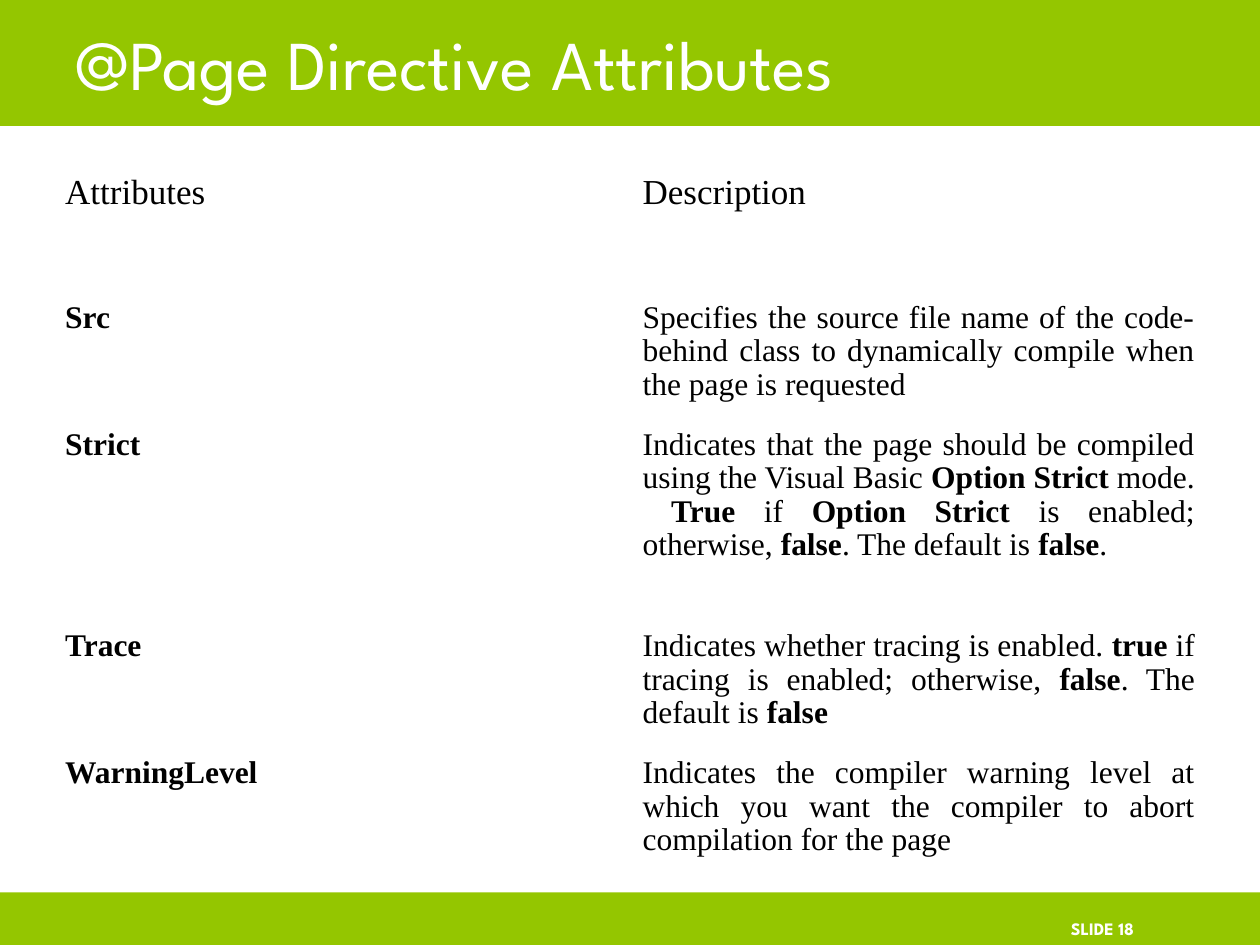
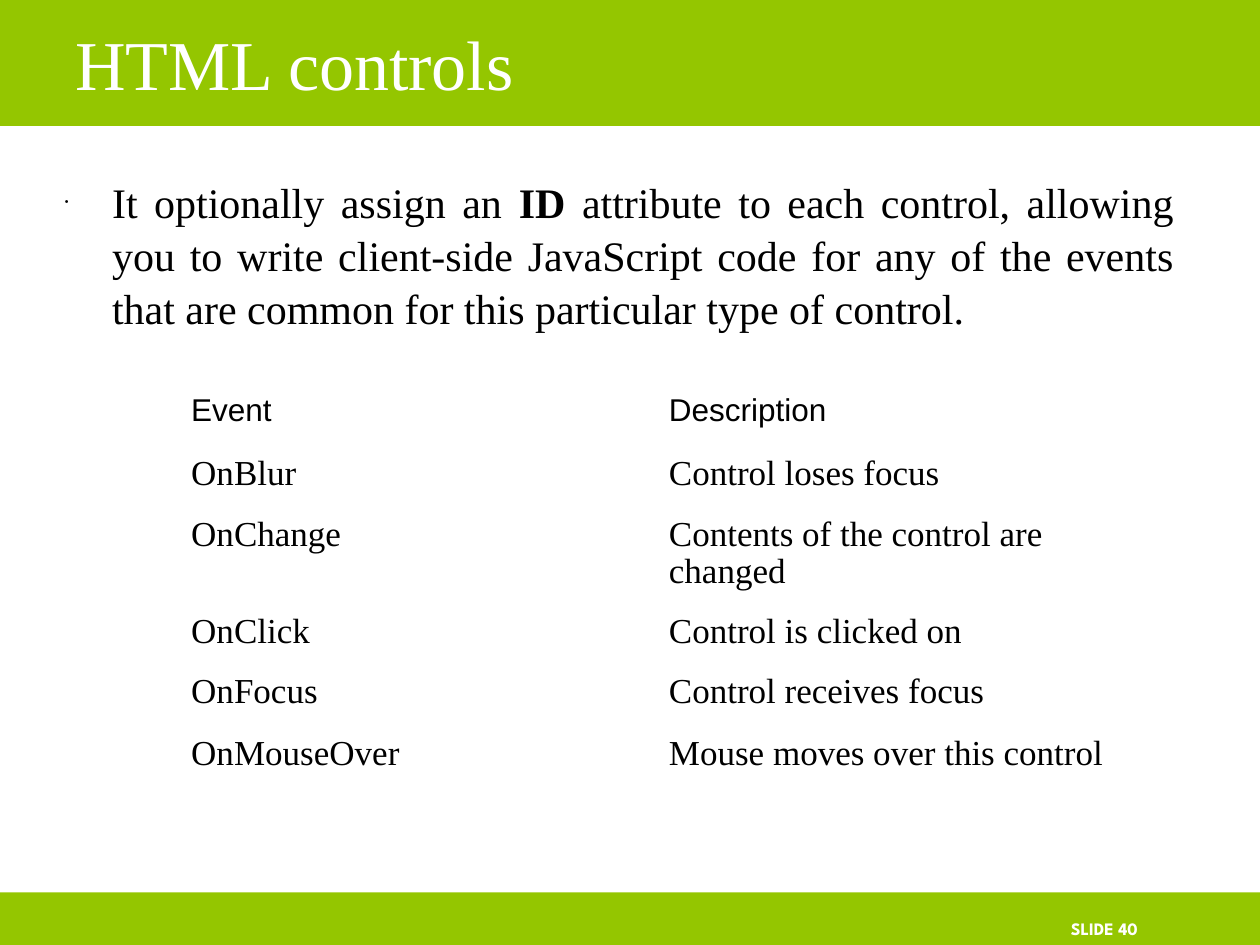
from lxml import etree
from pptx import Presentation
from pptx import util as u
from pptx.dml import color
from pptx.enum import shapes, text
from pptx.oxml import ns

SERIF, SANS, DISPLAY = "Times New Roman", "Arial", "League Spartan"
GREEN, WHITE, BLACK = "94C600", "FFFFFF", "000000"
WIDTH, HEIGHT = 25.4, 19.05
TITLE_HEIGHT, FOOTER_HEIGHT = 2.54, 1.06
FOOTER_TOP = HEIGHT - FOOTER_HEIGHT

ATTRIBUTES = [
    ("Attributes", "Description"),
    ("**Src**", "Specifies the source file name of the code-behind class to "
     "dynamically compile when the page is requested"),
    ("**Strict**", "Indicates that the page should be compiled using the Visual "
     "Basic **Option Strict** mode.  **True** if **Option Strict** is enabled; "
     "otherwise, **false**. The default is **false**."),
    ("**Trace**", "Indicates whether tracing is enabled. **true** if tracing is "
     "enabled; otherwise, **false**. The default is **false**"),
    ("**WarningLevel**", "Indicates the compiler warning level at which you want "
     "the compiler to abort compilation for the page"),
]
EVENTS = [
    ("Event", "Description"),
    ("OnBlur", "Control loses focus"),
    ("OnChange", "Contents of the control are changed"),
    ("OnClick", "Control is clicked on"),
    ("OnFocus", "Control receives focus"),
    ("OnMouseOver", "Mouse moves over this control"),
]
ID_NOTE = ("It optionally assign an **ID** attribute to each control, allowing you "
           "to write client-side JavaScript code for any of the events that are "
           "common for this particular type of control.")


def rgb(value):
    """Turn a hex string into a colour."""
    return color.RGBColor.from_string(value)


class Deck:
    """Hold the shared style and the slide being built."""

    def __init__(self):
        """Start an empty 4:3 presentation."""
        self.presentation = Presentation()
        self.presentation.slide_width = u.Cm(WIDTH)
        self.presentation.slide_height = u.Cm(HEIGHT)
        self.slide = None

    def add_slide(self, title, title_font, number):
        """Start a slide with its bands, title and slide number."""
        self.slide = self.presentation.slides.add_slide(
            self.presentation.slide_layouts[6])
        self.band(0, TITLE_HEIGHT)
        self.band(FOOTER_TOP, FOOTER_HEIGHT)
        footer = self.text_box(21.59, FOOTER_TOP, 2.54, FOOTER_HEIGHT,
                               text.MSO_ANCHOR.BOTTOM)
        footer.margin_left = footer.margin_right = 0
        self.fill_text(footer.paragraphs[0], f"**SLIDE {number}**", DISPLAY, 10, WHITE)
        heading = self.text_box(1.27, 0, 21.59, TITLE_HEIGHT,
                                text.MSO_ANCHOR.MIDDLE)
        self.fill_text(heading.paragraphs[0], title, title_font, 40, WHITE)

    def band(self, top, height):
        """Draw a green band across the slide."""
        shape = self.slide.shapes.add_shape(
            shapes.MSO_SHAPE.RECTANGLE, 0, u.Cm(top), u.Cm(WIDTH), u.Cm(height))
        shape.shadow.inherit = False
        shape.fill.solid()
        shape.fill.fore_color.rgb = rgb(GREEN)
        shape.line.fill.background()

    def text_box(self, left, top, width, height, anchor=text.MSO_ANCHOR.TOP):
        """Add a wrapping text box and return its text frame."""
        shape = self.slide.shapes.add_textbox(
            u.Cm(left), u.Cm(top), u.Cm(width), u.Cm(height))
        frame = shape.text_frame
        frame.word_wrap = True
        frame.vertical_anchor = anchor
        return frame

    def fill_text(self, paragraph, content, font, size, colour=BLACK, justify=False):
        """Fill a paragraph, setting the parts between ** in bold."""
        if justify:
            paragraph.alignment = text.PP_ALIGN.JUSTIFY
        for index, part in enumerate(content.split("**")):
            if part:
                run = paragraph.add_run()
                run.text = part
                run.font.name = font
                run.font.size = u.Pt(size)
                run.font.bold = index % 2 == 1
                run.font.color.rgb = rgb(colour)

    def bullet(self, content):
        """Add a justified paragraph with a small hanging bullet."""
        frame = self.text_box(1.06, 3.39, 22.86, 4)
        paragraph = frame.paragraphs[0]
        paragraph.line_spacing = 1.05
        properties = paragraph._p.get_or_add_pPr()
        properties.set("marL", str(u.Cm(0.95)))
        properties.set("indent", str(u.Cm(-0.95)))
        for tag, name, value in (("a:buSzPct", "val", "25000"),
                                 ("a:buFont", "typeface", SANS),
                                 ("a:buChar", "char", "•")):
            etree.SubElement(properties, ns.qn(tag)).set(name, value)
        self.fill_text(paragraph, content, SERIF, 24, justify=True)

    def table(self, left, top, column_width, row_heights, rows,
              header, body, justify=False):
        """Add a plain two-column table; header and body are (font, size)."""
        table = self.slide.shapes.add_table(
            len(rows), 2, u.Cm(left), u.Cm(top), u.Cm(2 * column_width),
            u.Cm(sum(row_heights))).table
        table.first_row = table.horz_banding = False
        for column in table.columns:
            column.width = u.Cm(column_width)
        for index, (row, height, contents) in enumerate(
                zip(table.rows, row_heights, rows)):
            row.height = u.Cm(height)
            font, size = body if index else header
            for cell, content in zip(row.cells, contents):
                cell.fill.background()
                paragraph = cell.text_frame.paragraphs[0]
                paragraph.line_spacing = 0.96
                self.fill_text(paragraph, content, font, size,
                               justify=justify and index > 0)


def main():
    """Build both slides and save them."""
    deck = Deck()
    deck.add_slide("@Page Directive Attributes", DISPLAY, 18)
    deck.table(1.06, 3.39, 11.64, [2.56, 2.56, 4.06, 2.56, 2.56], ATTRIBUTES,
               (SERIF, 20), (SERIF, 18), justify=True)
    deck.add_slide("HTML controls", SERIF, 40)
    deck.bullet(ID_NOTE)
    deck.table(3.6, 7.83, 9.63, [1.23, 1.23, 1.95, 1.22, 1.24, 1.23], EVENTS,
               (SANS, 18), (SERIF, 20))
    deck.presentation.save("out.pptx")


if __name__ == "__main__":
    main()
